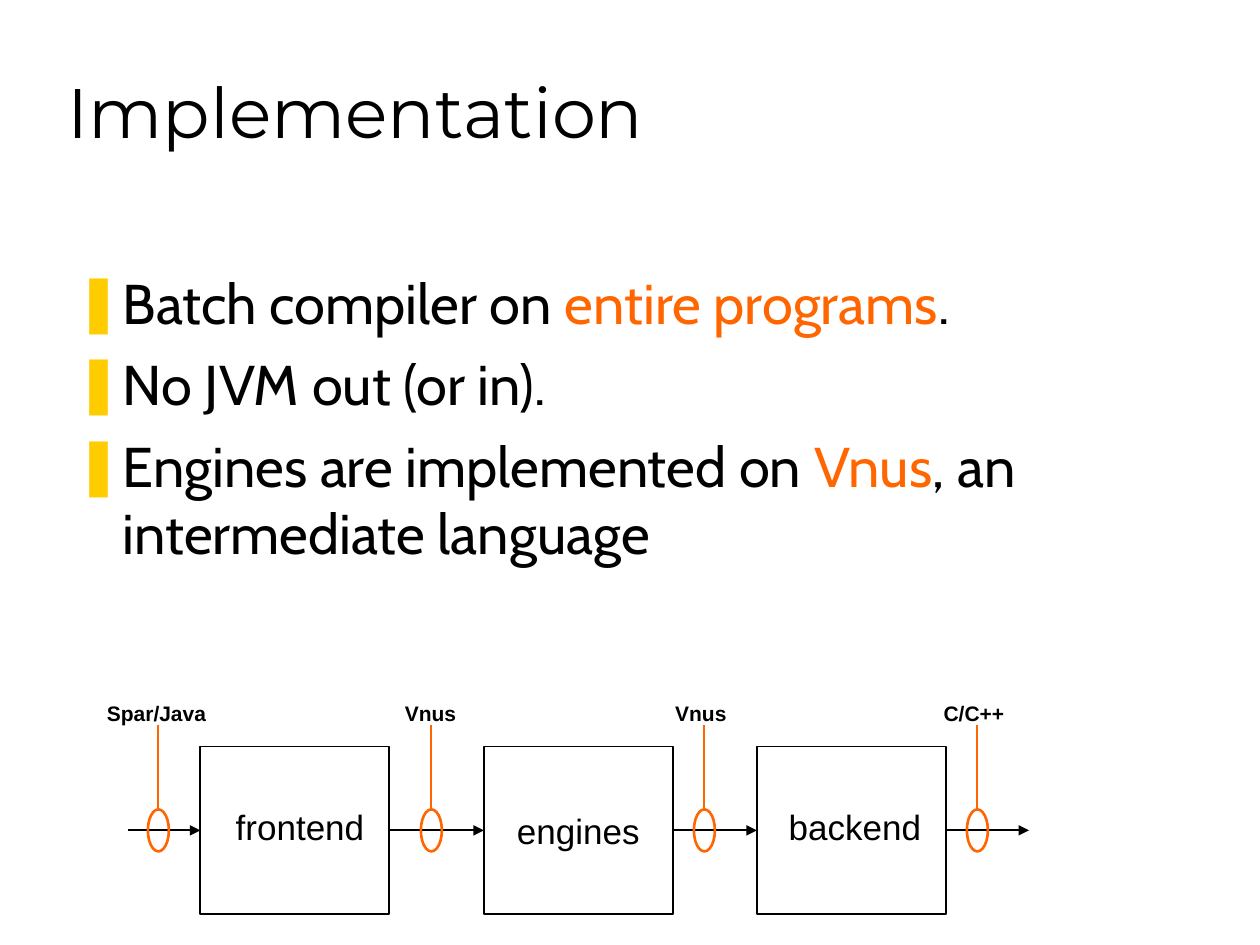
from lxml.etree import SubElement
from pptx import Presentation
from pptx.dml.color import RGBColor
from pptx.enum.shapes import MSO_CONNECTOR, MSO_SHAPE
from pptx.enum.text import MSO_ANCHOR, MSO_AUTO_SIZE, PP_ALIGN
from pptx.oxml.ns import qn
from pptx.util import Pt

BLACK, ORANGE, YELLOW = "000000", "FF6600", "FFCC00"
TITLE = dict(name="Montserrat", size=Pt(40))
BODY = dict(name="Cabin", size=Pt(32))
STAGE = dict(name="Arial", size=Pt(20))
LABEL = dict(name="Arial", size=Pt(12), bold=True)

BOX_TOP, BOX_W, BOX_H = 426.5, 108, 96
MID_Y = BOX_TOP + BOX_H / 2
RING_W, RING_H, RING_STEP = 12, 24, 156


def rgb(value):
    return RGBColor.from_string(value)


def add_run(p, text, fmt, color=BLACK):
    r = p.add_run()
    r.text = text
    for key, value in fmt.items():
        setattr(r.font, key, value)
    r.font.color.rgb = rgb(color)


def add_bullet(p):
    pPr = p._p.get_or_add_pPr()
    pPr.set("marL", str(Pt(27)))
    pPr.set("indent", str(Pt(-27)))
    color = SubElement(pPr, qn("a:buClr"))
    SubElement(color, qn("a:srgbClr"), val=YELLOW)
    SubElement(pPr, qn("a:buFont"), typeface="Arial")
    SubElement(pPr, qn("a:buChar"), char="❚")


def add_title(slide, text):
    sp = slide.shapes.title
    sp.left, sp.top, sp.width, sp.height = Pt(31.5), Pt(18), Pt(612), Pt(90)
    tf = sp.text_frame
    tf.auto_size = MSO_AUTO_SIZE.NONE
    tf.vertical_anchor = MSO_ANCHOR.MIDDLE
    p = tf.paragraphs[0]
    p.alignment = PP_ALIGN.LEFT
    add_run(p, text, TITLE)


def add_bullets(slide, items):
    sp = slide.shapes.add_textbox(Pt(36), Pt(150), Pt(644), Pt(246))
    tf = sp.text_frame
    tf.word_wrap = True
    for i, runs in enumerate(items):
        p = tf.add_paragraph() if i else tf.paragraphs[0]
        p.space_before = Pt(8 if i else 0)
        add_bullet(p)
        for text, color in runs:
            add_run(p, text, BODY, color)


def write_centred(tf, text, fmt):
    tf.word_wrap = False
    p = tf.paragraphs[0]
    p.alignment = PP_ALIGN.CENTER
    add_run(p, text, fmt)


def add_text(slide, text, center, top, width, height, fmt):
    sp = slide.shapes.add_textbox(Pt(center - width / 2), Pt(top), Pt(width), Pt(height))
    write_centred(sp.text_frame, text, fmt)


def add_outline(slide, kind, left, top, width, height, color, weight):
    sp = slide.shapes.add_shape(kind, Pt(left), Pt(top), Pt(width), Pt(height))
    sp.shadow.inherit = False
    sp.fill.background()
    sp.line.color.rgb = rgb(color)
    sp.line.width = Pt(weight)
    return sp


def add_line(slide, x1, y1, x2, y2, color, arrow=False):
    line = slide.shapes.add_connector(
        MSO_CONNECTOR.STRAIGHT, Pt(x1), Pt(y1), Pt(x2), Pt(y2))
    line.line.color.rgb = rgb(color)
    line.line.width = Pt(1)
    if arrow:
        SubElement(line.line._get_or_add_ln(), qn("a:tailEnd"), type="triangle")
    SubElement(line._element.spPr, qn("a:effectLst"))
    return line


def add_pipeline(slide):
    # Stages
    lefts = [114.5, 276.5, 432.5]
    boxes = [add_outline(slide, MSO_SHAPE.RECTANGLE, x, BOX_TOP, BOX_W, BOX_H, BLACK, 1)
             for x in lefts]
    tf = boxes[1].text_frame
    tf.vertical_anchor = MSO_ANCHOR.MIDDLE
    write_centred(tf, "engines", STAGE)
    add_text(slide, "frontend", 171.5, 456.5, 88, 32, STAGE)
    add_text(slide, "backend", 488.5, 457, 90, 32, STAGE)

    # Arrows into, between and out of the stages
    starts = [73] + [x + BOX_W for x in lefts]
    ends = lefts + [588]
    for i, (x1, x2) in enumerate(zip(starts, ends)):
        line = add_line(slide, x1, MID_Y, x2, MID_Y, BLACK, arrow=True)
        if i > 0:
            line.begin_connect(boxes[i - 1], 3)
        if i < len(boxes):
            line.end_connect(boxes[i], 1)

    # Rings on the arrows, with the language passed along each
    labels = [("Spar/Java", 89.5, 71), ("Vnus", 246, 44),
              ("Vnus", 400.5, 44), ("C/C++", 556.5, 49)]
    for i, (text, center, width) in enumerate(labels):
        x = 90.5 + i * RING_STEP
        top = MID_Y - RING_H / 2
        ring = add_outline(slide, MSO_SHAPE.OVAL, x - RING_W / 2, top,
                           RING_W, RING_H, ORANGE, 1.5)
        stem = add_line(slide, x, top, x, 414.5, ORANGE)
        stem.begin_connect(ring, 0)
        add_text(slide, text, center, 396.5, width, 21.5, LABEL)


def main():
    prs = Presentation()
    prs.slide_width, prs.slide_height = Pt(720), Pt(540)
    slide = prs.slides.add_slide(prs.slide_layouts[5])
    add_title(slide, "Implementation")
    add_bullets(slide, [
        [("Batch compiler on ", BLACK), ("entire programs", ORANGE), (".", BLACK)],
        [("No JVM out (or in).", BLACK)],
        [("Engines are implemented on ", BLACK), ("Vnus", ORANGE),
         (", an intermediate language", BLACK)],
    ])
    add_pipeline(slide)
    prs.save("out.pptx")


if __name__ == "__main__":
    main()
